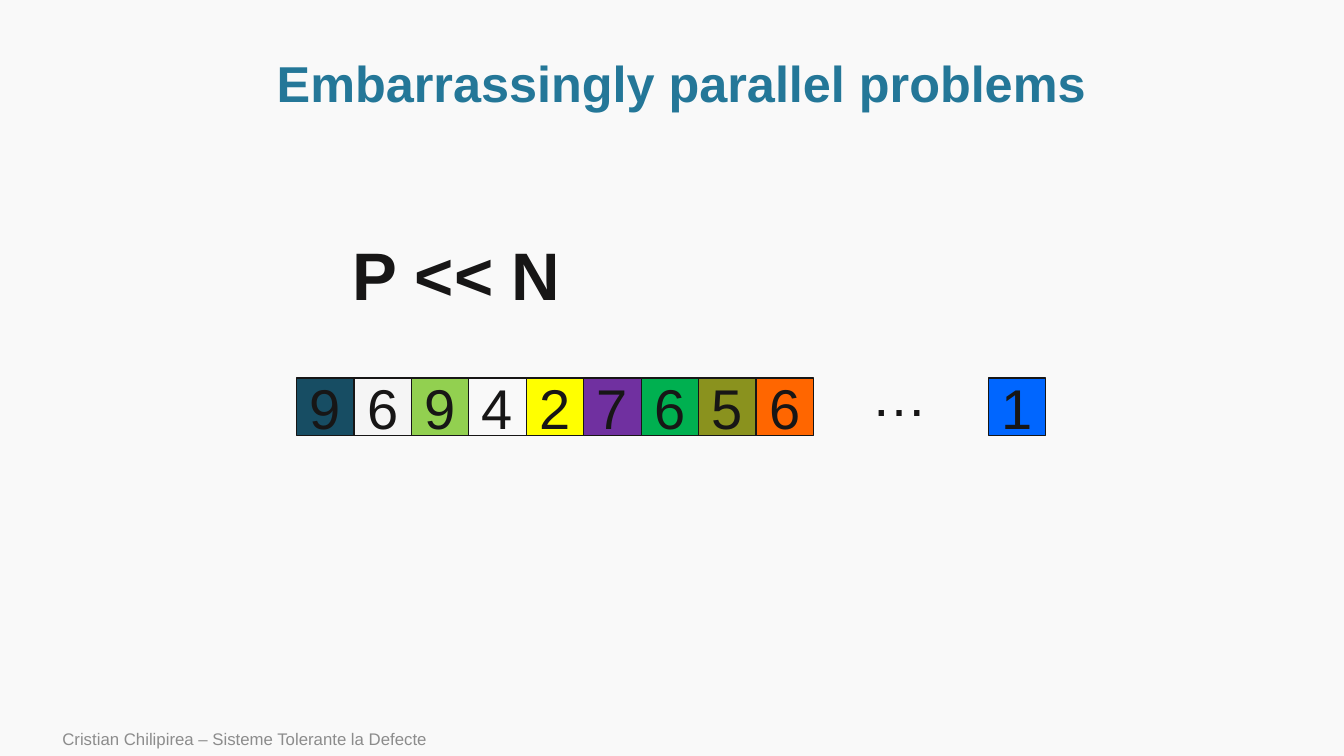
from pptx import Presentation
from pptx.dml.color import RGBColor
from pptx.enum.shapes import MSO_SHAPE as Shape
from pptx.enum.text import MSO_ANCHOR as Anchor, MSO_AUTO_SIZE as AutoSize, PP_ALIGN as Align
from pptx.util import Inches, Pt

FONT = "Arial"
INK = "171616"
CELL = 0.57
ROW_LEFT, ROW_TOP = 2.94, 3.75
LAST_COLUMN = 12.04
CELLS = [
    ("9", "174D63"), ("6", "F5F5F5"), ("9", "92D050"),
    ("4", None), ("2", "FFFF00"), ("7", "7030A0"),
    ("6", "00B050"), ("5", "8A921E"), ("6", "FF6600"),
]


def color(value):
    return RGBColor.from_string(value)


def write(shape, text, size=40, ink=INK, bold=False, align=Align.LEFT,
          anchor=Anchor.MIDDLE, wrap=True, spacing=1.0, fit=AutoSize.NONE):
    frame = shape.text_frame
    frame.word_wrap = wrap
    frame.auto_size = fit
    frame.vertical_anchor = anchor
    para = frame.paragraphs[0]
    para.alignment = align
    para.line_spacing = spacing
    para.space_before = Pt(0)
    span = para.add_run()
    span.text = text
    span.font.name = FONT
    span.font.size = Pt(size)
    span.font.bold = bold
    span.font.color.rgb = color(ink)


def add_title(page, text, left, top, width, height):
    title = page.shapes.title
    title.left, title.top = Inches(left), Inches(top)
    title.width, title.height = Inches(width), Inches(height)
    write(title, text, size=36, ink="247798", bold=True, align=Align.CENTER, spacing=0.9)


def add_label(page, text, left, top, width, height, **style):
    box = page.shapes.add_textbox(Inches(left), Inches(top), Inches(width), Inches(height))
    write(box, text, **style)


def add_cell(page, column, digit, fill):
    left = ROW_LEFT + column * CELL
    cell = page.shapes.add_shape(
        Shape.RECTANGLE, Inches(left), Inches(ROW_TOP), Inches(CELL), Inches(CELL))
    cell.shadow.inherit = False
    if fill:
        cell.fill.solid()
        cell.fill.fore_color.rgb = color(fill)
    else:
        cell.fill.background()
    cell.line.color.rgb = color(INK)
    cell.line.width = Pt(1)
    write(cell, digit, align=Align.CENTER)


def main():
    deck = Presentation()
    deck.slide_width, deck.slide_height = Inches(13.33), Inches(7.5)
    page = deck.slides.add_slide(deck.slide_layouts[5])
    page.background.fill.solid()
    page.background.fill.fore_color.rgb = color("F9F9F9")

    add_title(page, "Embarrassingly parallel problems", 1.01, 0.51, 11.5, 0.69)
    add_label(page, "Cristian Chilipirea – Sisteme Tolerante la Defecte",
              0.52, 7.16, 8.4, 0.34, size=12, ink="8C8C8C")
    for column, (digit, fill) in enumerate(CELLS):
        add_cell(page, column, digit, fill)
    add_cell(page, LAST_COLUMN, "1", "0066FF")
    add_label(page, "P << N", 3.4, 2.27, 2.66, 0.91, size=48, bold=True,
              anchor=Anchor.TOP, fit=AutoSize.SHAPE_TO_FIT_TEXT)
    add_label(page, "…", 8.55, 3.53, 0.76, 0.77, anchor=Anchor.TOP,
              wrap=False, fit=AutoSize.SHAPE_TO_FIT_TEXT)
    deck.save("out.pptx")


if __name__ == "__main__":
    main()
